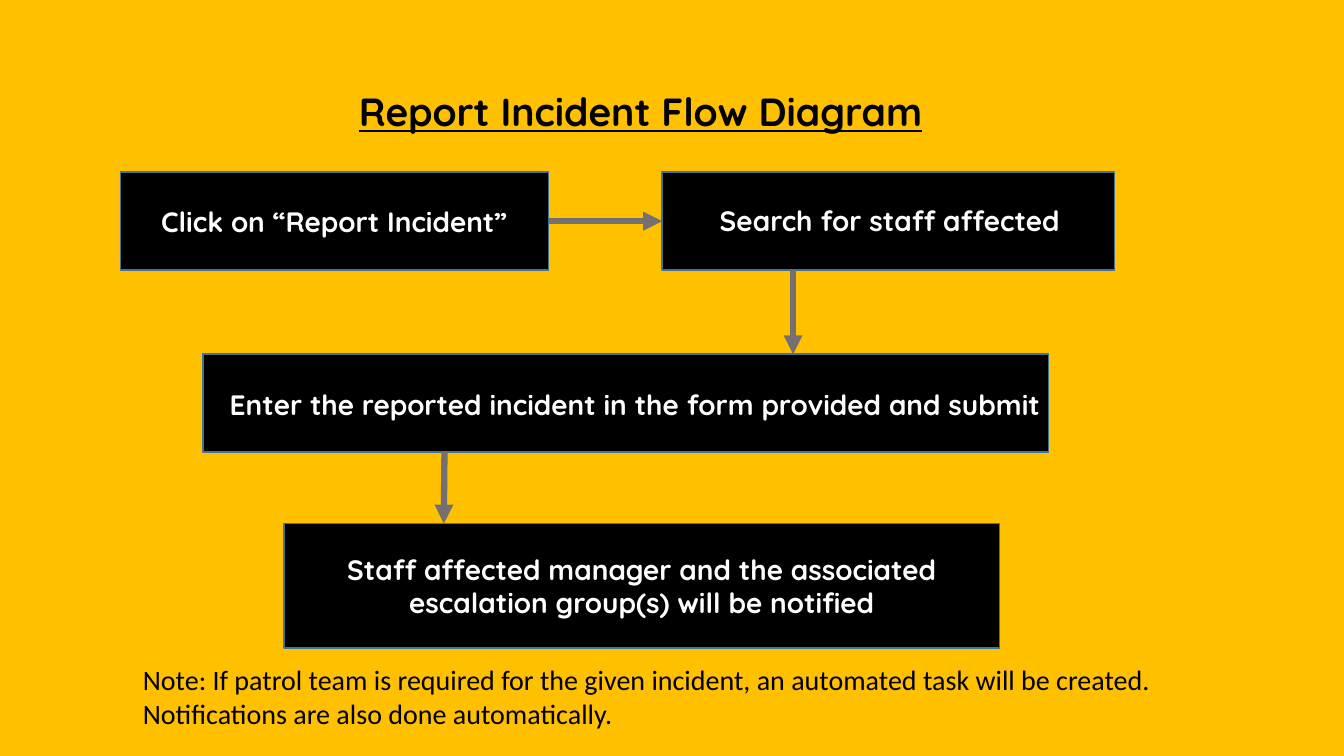
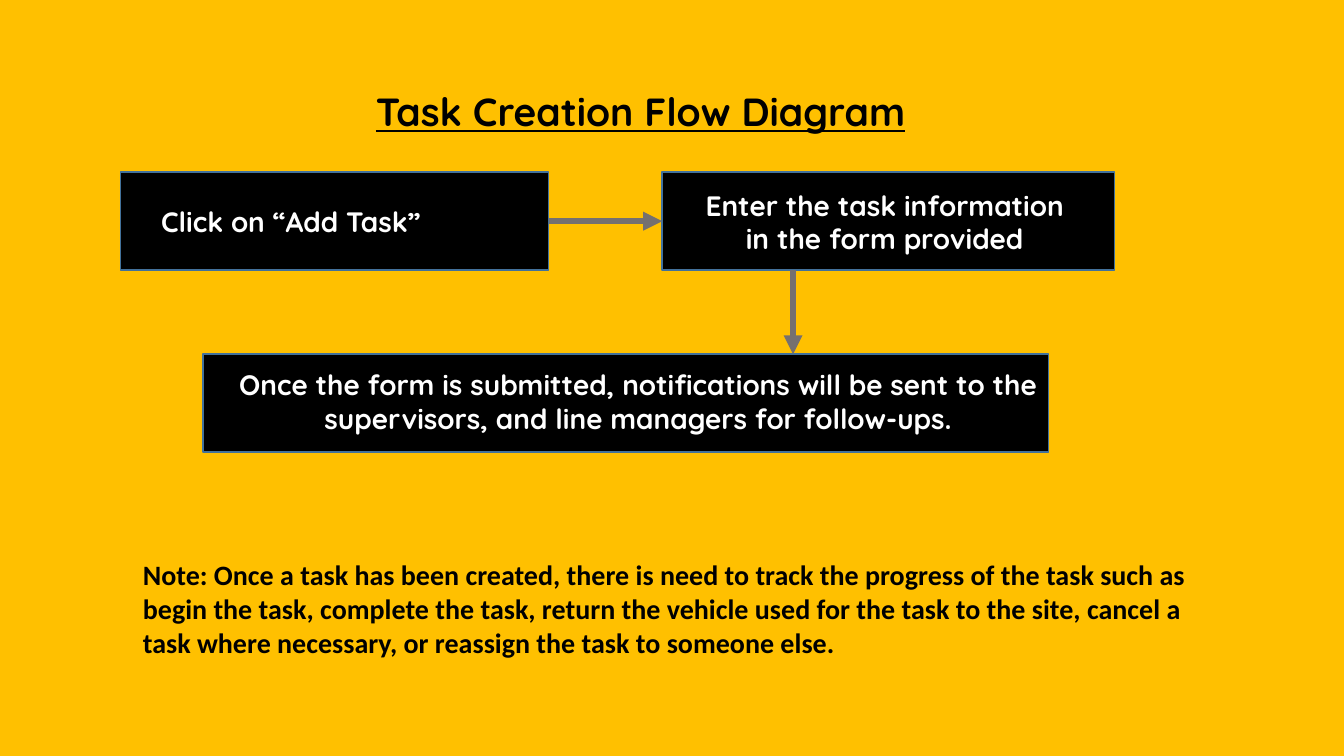
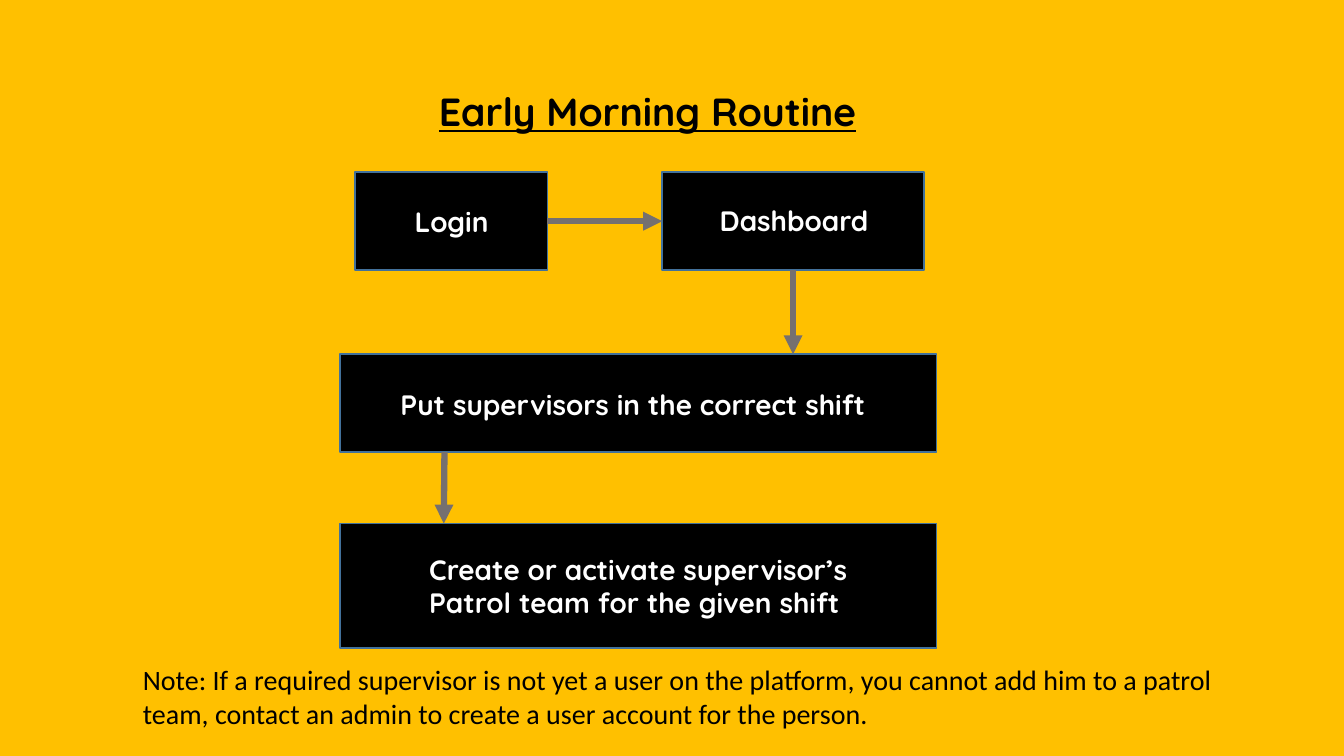
from pptx import Presentation
from pptx.dml.color import RGBColor
from pptx.enum.shapes import MSO_CONNECTOR as CONN, MSO_SHAPE as SHAPE
from pptx.enum.text import MSO_ANCHOR as ANCHOR, MSO_AUTO_SIZE as AUTO, PP_ALIGN as ALIGN
from pptx.oxml.ns import qn
from pptx.util import Pt
from lxml import etree

AMBER = RGBColor(0xFF, 0xC0, 0x00)
BLACK = RGBColor(0x00, 0x00, 0x00)
WHITE = RGBColor(0xFF, 0xFF, 0xFF)
BLUE = RGBColor(0x42, 0x71, 0x9B)
GREY = RGBColor(0x75, 0x70, 0x70)

TITLE = {"name": "Quicksand", "size": Pt(28), "bold": True, "underline": True}
STEP = {"name": "Quicksand", "size": Pt(20), "bold": True}
NOTE = {"name": "Calibri", "size": Pt(20), "bold": False}
BOLD_NOTE = {**NOTE, "bold": True}

ROWS = [(123, 70), (123, 70), (253, 70), (374, 89)]
TOP_MIDDLE = 158
DOWN_ARROWS = [(566.5, 193, 566.5, 253), (317.5, 323, 317, 374)]

SLIDES = [
    {
        "title": ("Report Incident Flow Diagram", 232.5),
        "boxes": [(86, 306), (473, 323), (145, 604), (203, 511)],
        "labels": [
            ("Click on “Report Incident”", 108, 142.5, 297, 32, ALIGN.LEFT),
            ("Search for staff affected", 507, 141.5, 276, 32, ALIGN.LEFT),
            ("Enter the reported incident in the form provided and submit",
             157, 273.5, 598, 32, ALIGN.LEFT),
        ],
        "result": ["Staff affected manager and the associated escalation group(s) will be notified"],
        "note": ("Note: If patrol team is required for the given incident, an automated task "
                 "will be created. Notifications are also done automatically.", 470, 56, NOTE),
    },
    {
        "title": ("Task Creation Flow Diagram", 232.5),
        "boxes": [(86, 306), (473, 323), (145, 604)],
        "labels": [
            ("Click on “Add Task”", 108, 142.5, 297, 32, ALIGN.LEFT),
            ("Enter the task information in the form provided", 494, 131, 276, 56, ALIGN.CENTER),
            ("Once the form is submitted, notifications will be sent to the supervisors, "
             "and line managers for follow-ups.", 157, 259, 598, 56, ALIGN.CENTER),
        ],
        "result": [],
        "note": ("Note: Once a task has been created, there is need to track the progress of "
                 "the task such as begin the task, complete the task, return the vehicle used "
                 "for the task to the site, cancel a task where necessary, or reassign the "
                 "task to someone else.", 395, 80, BOLD_NOTE),
    },
    {
        "title": ("Early Morning Routine", 237.5),
        "boxes": [(253.5, 137.5), (473, 187), (243, 426), (243, 426)],
        "labels": [
            ("Login", 289, 142.5, 74, 32, ALIGN.LEFT),
            ("Dashboard", 507, 141.5, 132, 32, ALIGN.LEFT),
            ("Put supervisors in the correct shift", 279, 273.5, 354, 32, ALIGN.LEFT),
        ],
        "result": ["Create or activate supervisor’s", "Patrol team for the given shift "],
        "note": ("Note: If a required supervisor is not yet a user on the platform, you cannot "
                 "add him to a patrol team, contact an admin to create a user account for the "
                 "person.", 470, 56, NOTE),
    },
]


def write(tf, lines, fmt, color, align):
    tf.word_wrap = True
    for i, line in enumerate(lines):
        p = tf.paragraphs[0] if i == 0 else tf.add_paragraph()
        p.alignment = align
        r = p.add_run()
        r.text = line
        for key, value in fmt.items():
            setattr(r.font, key, value)
        r.font.color.rgb = color


def add_arrow(s, x1, y1, x2, y2):
    arrow = s.shapes.add_connector(CONN.STRAIGHT, Pt(x1), Pt(y1), Pt(x2), Pt(y2))
    arrow.line.color.rgb = GREY
    arrow.line.width = Pt(4.5)
    etree.SubElement(arrow.line._get_or_add_ln(), qn("a:tailEnd"), type="triangle")
    etree.SubElement(arrow._element.spPr, qn("a:effectLst"))
    return arrow


prs = Presentation()
prs.slide_width, prs.slide_height = Pt(960), Pt(540)
fill = prs.slide_master.background.fill
fill.solid()
fill.fore_color.rgb = AMBER

for data in SLIDES:
    s = prs.slides.add_slide(prs.slide_layouts[6])

    boxes = []
    for (left, width), (top, height) in zip(data["boxes"], ROWS):
        sp = s.shapes.add_shape(SHAPE.RECTANGLE, Pt(left), Pt(top), Pt(width), Pt(height))
        sp.shadow.inherit = False
        sp.fill.solid()
        sp.fill.fore_color.rgb = BLACK
        sp.line.color.rgb = BLUE
        sp.line.width = Pt(1)
        boxes.append(sp)
    if data["result"]:
        tf = boxes[-1].text_frame
        tf.vertical_anchor = ANCHOR.MIDDLE
        write(tf, data["result"], STEP, WHITE, ALIGN.CENTER)

    title, title_left = data["title"]
    note, note_top, note_height, note_format = data["note"]
    texts = [(title, title_left, 59, 450, 41, ALIGN.CENTER, TITLE, BLACK)]
    texts += [(*label, STEP, WHITE) for label in data["labels"]]
    texts.append((note, 95, note_top, 792, note_height, ALIGN.LEFT, note_format, BLACK))
    for text, left, top, width, height, align, fmt, color in texts:
        tf = s.shapes.add_textbox(Pt(left), Pt(top), Pt(width), Pt(height)).text_frame
        tf.auto_size = AUTO.SHAPE_TO_FIT_TEXT
        write(tf, [text], fmt, color, align)

    across = add_arrow(s, 392, TOP_MIDDLE, 473, TOP_MIDDLE)
    across.begin_connect(boxes[0], 3)
    across.end_connect(boxes[1], 1)
    for ends, upper in zip(DOWN_ARROWS, boxes[1:-1]):
        down = add_arrow(s, *ends)
        if upper.left + upper.width // 2 == Pt(ends[0]):
            down.begin_connect(upper, 2)

prs.save("out.pptx")
